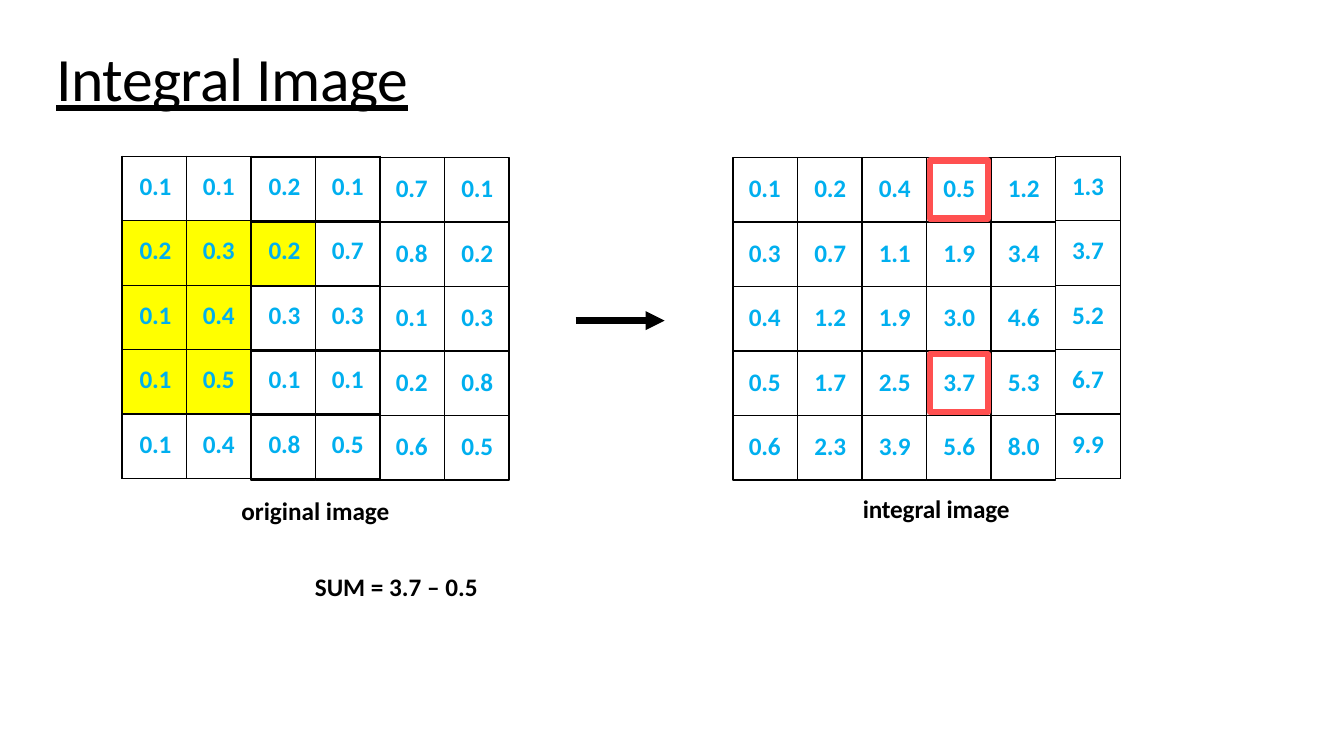
from dataclasses import dataclass
from itertools import product

from pptx import Presentation
from pptx.dml.color import RGBColor
from pptx.enum.shapes import MSO_CONNECTOR, MSO_SHAPE
from pptx.enum.text import MSO_ANCHOR, MSO_AUTO_SIZE, PP_ALIGN
from pptx.oxml import parse_xml
from pptx.oxml.ns import nsdecls
from pptx.slide import Slide
from pptx.table import _Cell
from pptx.text.text import TextFrame, _Paragraph
from pptx.util import Inches, Length, Pt

COLORS = {"text": "000000", "value": "00AFEF", "highlight": "FFFF00", "corner": "FF5050"}
FONT = "Calibri"
CELL_INCHES = 0.64
GRID_TOP = 2.44
TABLE_TOP = 2.42
ORIGINAL_LEFT = 1.89
INTEGRAL_LEFT = 11.36
ROWS = 5
CORNER_INSET = 0.05


@dataclass
class Caption:
    text: str
    left: float
    top: float
    width: float


ORIGINAL_VALUES = [
    ["0.1", "0.1", "0.2", "0.1", "0.7", "0.1"],
    ["0.2", "0.3", "0.2", "0.7", "0.8", "0.2"],
    ["0.1", "0.4", "0.3", "0.3", "0.1", "0.3"],
    ["0.1", "0.5", "0.1", "0.1", "0.2", "0.8"],
    ["0.1", "0.4", "0.8", "0.5", "0.6", "0.5"],
]
INTEGRAL_VALUES = [
    ["0.1", "0.2", "0.4", "0.5", "1.2", "1.3"],
    ["0.3", "0.7", "1.1", "1.9", "3.4", "3.7"],
    ["0.4", "1.2", "1.9", "3.0", "4.6", "5.2"],
    ["0.5", "1.7", "2.5", "3.7", "5.3", "6.7"],
    ["0.6", "2.3", "3.9", "5.6", "8.0", "9.9"],
]
HIGHLIGHTED = set(product((1, 2, 3), (0, 1)))
CAPTIONS = [
    Caption("original image", 3.74, 7.66, 2.33),
    Caption("SUM = 3.7 – 0.5", 4.88, 8.84, 2.58),
]


def cells(count: float) -> Length:
    return Inches(count * CELL_INCHES)


def rgb(name: str) -> RGBColor:
    return RGBColor.from_string(COLORS[name])


def write_text(
    paragraph: _Paragraph, text: str, *, size: float = 18, color: str = "text",
    bold: bool = True, underline: bool = False, spacing: float = 0,
    alignment: PP_ALIGN = PP_ALIGN.LEFT,
) -> None:
    paragraph.alignment = alignment
    run = paragraph.add_run()
    run.text = text
    run.font.name = FONT
    run.font.size = Pt(size)
    run.font.bold = bold
    run.font.underline = underline
    run.font.color.rgb = rgb(color)
    run._r.get_or_add_rPr().set("spc", str(round(spacing * 100)))


def clear_margins(target: TextFrame | _Cell) -> None:
    target.margin_left = target.margin_right = 0
    target.margin_top = target.margin_bottom = 0


def add_borders(cell: _Cell) -> None:
    properties = cell._tc.get_or_add_tcPr()
    for position, side in enumerate(("lnL", "lnR", "lnT", "lnB")):
        properties.insert(position, parse_xml(
            f'<a:{side} {nsdecls("a")} w="{Pt(1)}"><a:solidFill>'
            f'<a:srgbClr val="{COLORS["text"]}"/></a:solidFill></a:{side}>'
        ))


def add_title(slide: Slide, text: str) -> None:
    title = slide.shapes.title
    title.left, title.top = Inches(0.22), Inches(0.2)
    title.width, title.height = Inches(12.89), Inches(1.01)
    frame = title.text_frame
    clear_margins(frame)
    frame.margin_left, frame.margin_top = Inches(0.34), Inches(0.2)
    frame.vertical_anchor = MSO_ANCHOR.TOP
    frame.auto_size = MSO_AUTO_SIZE.NONE
    write_text(frame.paragraphs[0], text, size=44, bold=False, underline=True, spacing=-0.4)


def add_cell_outlines(
    slide: Slide, left: float, places: list[tuple[int, int]], *, highlight: bool = False
) -> None:
    builder = None
    for row, column in places:
        x, y = cells(left + column), cells(GRID_TOP + row)
        right, bottom = x + cells(1), y + cells(1)
        if builder is None:
            builder = slide.shapes.build_freeform(x, bottom)
        else:
            builder.move_to(x, bottom)
        builder.add_line_segments([(right, bottom), (right, y), (x, y)], close=True)
    shape = builder.convert_to_shape()
    shape.shadow.inherit = False
    if highlight:
        shape.fill.solid()
        shape.fill.fore_color.rgb = rgb("highlight")
        shape.line.fill.background()
    else:
        shape.fill.background()
        shape.line.color.rgb = rgb("text")
        shape.line.width = Pt(0.96)


def add_value_table(
    slide: Slide, left: float, values: list[list[str]], *,
    right_aligned: tuple[int, ...] = (), highlighted: set[tuple[int, int]] = frozenset(),
) -> None:
    table = slide.shapes.add_table(
        len(values), len(values[0]), cells(left), cells(TABLE_TOP),
        cells(len(values[0])), cells(len(values)),
    ).table
    table.first_row = False
    table.horz_banding = False
    for row, column in product(range(len(values)), range(len(values[0]))):
        cell = table.cell(row, column)
        clear_margins(cell)
        cell.margin_top = Inches(0.15)
        alignment = PP_ALIGN.CENTER
        if column in right_aligned:
            alignment = PP_ALIGN.RIGHT
            cell.margin_right = Inches(0.15)
        if (row, column) in highlighted:
            cell.fill.solid()
            cell.fill.fore_color.rgb = rgb("highlight")
        else:
            cell.fill.background()
        add_borders(cell)
        write_text(cell.text_frame.paragraphs[0], values[row][column],
                   color="value", spacing=-0.2, alignment=alignment)


def add_text_box(slide: Slide, left: float, top: float, width: float, height: float) -> TextFrame:
    box = slide.shapes.add_textbox(cells(left), cells(top), cells(width), cells(height))
    frame = box.text_frame
    frame.word_wrap = True
    clear_margins(frame)
    frame.margin_top = Inches(0.01)
    return frame


def add_value_row(
    slide: Slide, left: float, row: int, values: list[str], height: float = 0.52
) -> TextFrame:
    frame = add_text_box(slide, left + 0.23, GRID_TOP + row + 0.22, len(values) - 0.45, height)
    paragraph = frame.paragraphs[0]
    properties = paragraph._p.get_or_add_pPr()
    properties.set("marL", str(Inches(0.01)))
    stops = "".join(
        f'<a:tab pos="{cells(stop) + Inches(0.01)}" algn="l"/>' for stop in range(1, len(values))
    )
    properties.append(parse_xml(f'<a:tabLst {nsdecls("a")}>{stops}</a:tabLst>'))
    write_text(paragraph, "\t".join(values), color="value", spacing=-0.2)
    return frame


def add_corner(slide: Slide, row: int, column: int) -> None:
    side = cells(1 - 2 * CORNER_INSET)
    shape = slide.shapes.add_shape(
        MSO_SHAPE.RECTANGLE, cells(INTEGRAL_LEFT + column + CORNER_INSET),
        cells(GRID_TOP + row + CORNER_INSET), side, side,
    )
    shape.shadow.inherit = False
    shape.fill.background()
    shape.line.color.rgb = rgb("corner")
    shape.line.width = Pt(4.56)


def add_arrow(slide: Slide, start: float, end: float, height: float) -> None:
    arrow = slide.shapes.add_connector(
        MSO_CONNECTOR.STRAIGHT, cells(start), cells(height), cells(end), cells(height)
    )
    arrow.line.color.rgb = rgb("text")
    arrow.line.width = Pt(4.5)
    arrow.line._get_or_add_ln().append(parse_xml(f'<a:tailEnd {nsdecls("a")} type="triangle"/>'))
    arrow._element.spPr.append(parse_xml(f'<a:effectLst {nsdecls("a")}/>'))


def add_original_grid(slide: Slide) -> None:
    add_cell_outlines(slide, ORIGINAL_LEFT, [(0, 2), (0, 3)])
    add_cell_outlines(slide, ORIGINAL_LEFT, [(1, 2)], highlight=True)
    add_cell_outlines(slide, ORIGINAL_LEFT, list(product(range(1, ROWS), (2, 3))))
    add_value_table(slide, ORIGINAL_LEFT, [row[:4] for row in ORIGINAL_VALUES],
                    right_aligned=(0, 2), highlighted=HIGHLIGHTED)
    for row, values in enumerate(ORIGINAL_VALUES):
        add_cell_outlines(slide, ORIGINAL_LEFT, [(row, 4), (row, 5)])
        add_value_row(slide, ORIGINAL_LEFT + 4, row, values[4:])


def add_integral_grid(slide: Slide) -> None:
    add_cell_outlines(slide, INTEGRAL_LEFT, [*product(range(ROWS), range(4)), (0, 4)])
    for row, values in enumerate(INTEGRAL_VALUES):
        if row > 0:
            add_cell_outlines(slide, INTEGRAL_LEFT, [(row, 4)])
        height = 1.48 if row == ROWS - 1 else 0.52
        frame = add_value_row(slide, INTEGRAL_LEFT, row, values[:5], height)
    caption = frame.add_paragraph()
    caption._p.get_or_add_pPr().set("marL", str(Inches(1.14)))
    caption.space_before = Pt(23.4)
    write_text(caption, "integral image", spacing=-0.1)
    add_value_table(slide, INTEGRAL_LEFT + 5, [row[5:] for row in INTEGRAL_VALUES])


def main() -> None:
    presentation = Presentation()
    presentation.slide_width, presentation.slide_height = Inches(13.33), Inches(7.5)
    slide = presentation.slides.add_slide(presentation.slide_layouts[5])
    add_title(slide, "Integral Image")
    add_original_grid(slide)
    add_integral_grid(slide)
    add_arrow(slide, 8.92, 10.3, 4.97)
    for caption in CAPTIONS:
        frame = add_text_box(slide, caption.left, caption.top, caption.width, 0.52)
        write_text(frame.paragraphs[0], caption.text)
    for row in (0, 3):
        add_corner(slide, row, 3)
    presentation.save("out.pptx")


if __name__ == "__main__":
    main()
